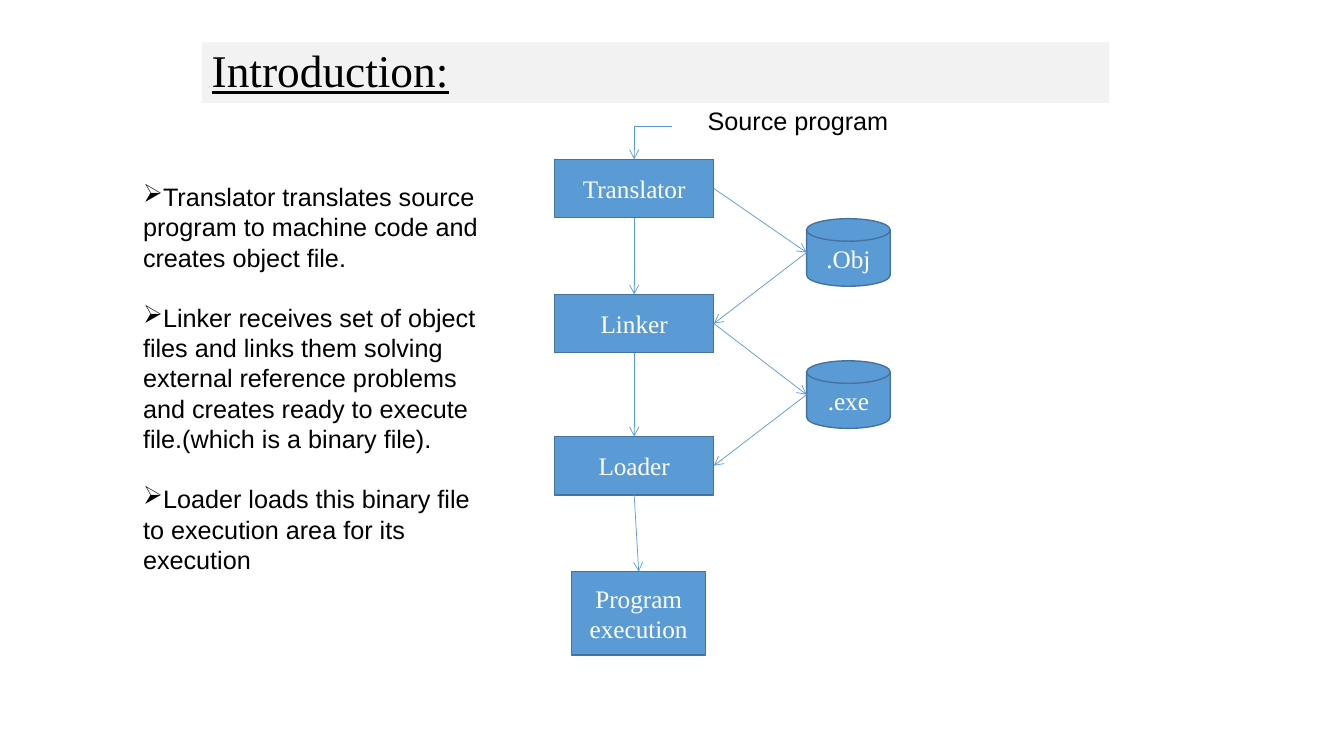
"""Build the slide on the translator, linker and loader chain."""
from dataclasses import dataclass

from lxml import etree
from pptx import Presentation
from pptx.dml import color
from pptx.enum import shapes, text
from pptx.oxml import ns
from pptx.util import Inches, Pt

SERIF, SANS = "Times New Roman", "Arial"
BLUE, EDGE, BLACK, WHITE, GREY = "5B9BD5", "43739E", "000000", "FFFFFF", "F2F2F2"
RECT = shapes.MSO_SHAPE.RECTANGLE
DISK = shapes.MSO_SHAPE.FLOWCHART_MAGNETIC_DISK
TOP, BOTTOM, RIGHT, DISK_LEFT = 0, 2, 3, 2


@dataclass
class Node:
    label: str
    left: float
    top: float
    width: float = 1.58
    height: float = 0.58
    kind: shapes.MSO_SHAPE = RECT

    def point(self, across: float, down: float) -> tuple[float, float]:
        return self.left + across * self.width, self.top + down * self.height


@dataclass
class End:
    node: Node
    site: int
    across: float
    down: float


TRANSLATOR = Node("Translator", 5.5, 1.58)
LINKER = Node("Linker", 5.5, 2.92)
LOADER = Node("Loader", 5.5, 4.33)
EXECUTION = Node("Program execution", 5.67, 5.67, 1.33, 0.83)
OBJECT_FILE = Node(".Obj", 8, 2.17, 0.83, 0.67, DISK)
EXE_FILE = Node(".exe", 8, 3.58, 0.83, 0.67, DISK)
STAGES = [TRANSLATOR, LINKER, LOADER, EXECUTION]
FILES = [OBJECT_FILE, EXE_FILE]

NOTES = [
    "Translator translates source program to machine code and creates object file.",
    "Linker receives set of object files and links them solving external reference "
    "problems and creates ready to execute file.(which is a binary file).",
    "Loader loads this binary file to execution area for its execution",
]


def rgb(value: str) -> color.RGBColor:
    return color.RGBColor.from_string(value)


def add_span(para, words: str, size: float, face: str, ink: str):
    span = para.add_run()
    span.text = words
    span.font.size = Pt(size)
    span.font.name = face
    span.font.color.rgb = rgb(ink)
    return span


def fill_title(title) -> None:
    title.left, title.top = Inches(2), Inches(0.42)
    title.width, title.height = Inches(9), Inches(0.6)
    title.fill.solid()
    title.fill.fore_color.rgb = rgb(GREY)
    frame = title.text_frame
    frame.vertical_anchor = text.MSO_ANCHOR.MIDDLE
    frame.auto_size = text.MSO_AUTO_SIZE.NONE
    para = frame.paragraphs[0]
    para.alignment = text.PP_ALIGN.LEFT
    para.line_spacing = 0.9
    add_span(para, "Introduction:", 32.4, SERIF, BLACK).font.underline = True


def add_node(page, node: Node):
    shape = page.shapes.add_shape(node.kind, Inches(node.left), Inches(node.top),
                                  Inches(node.width), Inches(node.height))
    shape.shadow.inherit = False
    shape.fill.solid()
    shape.fill.fore_color.rgb = rgb(BLUE)
    shape.line.color.rgb = rgb(EDGE)
    shape.line.width = Pt(1)
    shape.text_frame.vertical_anchor = text.MSO_ANCHOR.MIDDLE
    para = shape.text_frame.paragraphs[0]
    para.alignment = text.PP_ALIGN.CENTER
    add_span(para, node.label, 18, SERIF, WHITE)
    return shape


def add_arrow(page, start: tuple[float, float], end: tuple[float, float],
              kind=shapes.MSO_CONNECTOR.STRAIGHT):
    arrow = page.shapes.add_connector(kind, *map(Inches, start + end))
    arrow.line.color.rgb = rgb(BLUE)
    arrow.line.width = Pt(0.5)
    etree.SubElement(arrow.line._get_or_add_ln(), ns.qn("a:tailEnd"), type="arrow")
    etree.SubElement(arrow._element.spPr, ns.qn("a:effectLst"))
    return arrow


def link(page, drawn: dict, start: End, end: End) -> None:
    first = start.node.point(start.across, start.down)
    last = end.node.point(end.across, end.down)
    arrow = add_arrow(page, first, last)
    arrow.begin_connect(drawn[start.node.label], start.site)
    arrow.end_connect(drawn[end.node.label], end.site)
    arrow.begin_x, arrow.begin_y = map(Inches, first)
    arrow.end_x, arrow.end_y = map(Inches, last)


def add_entry_arrow(page) -> None:
    arrow = add_arrow(page, (6.67, 1.25), TRANSLATOR.point(0.5, 0),
                      shapes.MSO_CONNECTOR.ELBOW)
    arrow._element.spPr.find(ns.qn("a:prstGeom")).set("prst", "bentConnector2")


def add_text(page, left: float, top: float, width: float, height: float,
             lines: list[str], bullet: str = "") -> None:
    box = page.shapes.add_textbox(*map(Inches, (left, top, width, height)))
    frame = box.text_frame
    frame.word_wrap = True
    frame.auto_size = text.MSO_AUTO_SIZE.SHAPE_TO_FIT_TEXT
    for index, line in enumerate(lines):
        para = frame.add_paragraph() if index else frame.paragraphs[0]
        if index:
            para.space_before = Pt(21.6)
        if bullet:
            etree.SubElement(para._p.get_or_add_pPr(), ns.qn("a:buChar"), char=bullet)
        add_span(para, line, 18, SANS, BLACK)


def main() -> None:
    deck = Presentation()
    deck.slide_width, deck.slide_height = Inches(13.33), Inches(7.5)
    page = deck.slides.add_slide(deck.slide_layouts[5])
    fill_title(page.shapes.title)
    drawn = {node.label: add_node(page, node) for node in STAGES + FILES}
    for upper, lower in zip(STAGES, STAGES[1:]):
        link(page, drawn, End(upper, BOTTOM, 0.5, 1), End(lower, TOP, 0.5, 0))
    for upper, file, lower in zip(STAGES, FILES, STAGES[1:]):
        file_side = End(file, DISK_LEFT, 0, 0.5)
        link(page, drawn, End(upper, RIGHT, 1, 0.5), file_side)
        link(page, drawn, file_side, End(lower, RIGHT, 1, 0.5))
    add_entry_arrow(page)
    add_text(page, 6.92, 1, 3.17, 0.4, ["Source program"])
    add_text(page, 1.32, 1.75, 3.68, 4.04, NOTES, "➢")
    deck.save("out.pptx")


if __name__ == "__main__":
    main()
